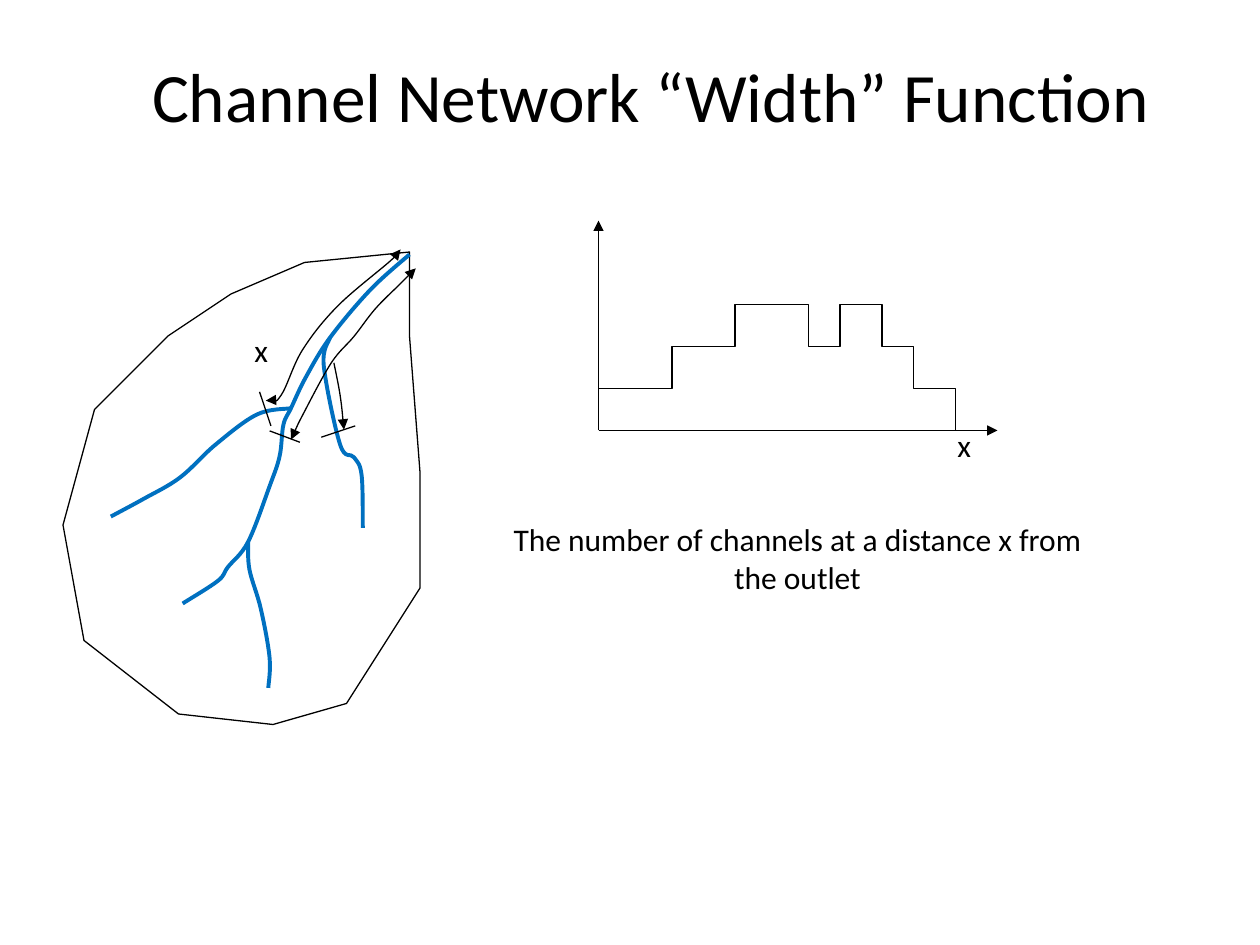
"""Build a slide on the width function of a channel network."""
from lxml.etree import SubElement
from pptx import Presentation
from pptx.dml.color import RGBColor
from pptx.enum.shapes import MSO_CONNECTOR
from pptx.enum.text import MSO_ANCHOR, MSO_AUTO_SIZE, PP_ALIGN
from pptx.oxml.ns import qn
from pptx.util import Inches, Pt


def ink(shape, color, width, ends=()):
    shape.line.color.rgb = RGBColor.from_string(color)
    shape.line.width = Pt(width)
    for end in ends:
        SubElement(shape.line._get_or_add_ln(), qn("a:" + end), type="triangle")
    SubElement(shape._element.spPr, qn("a:effectLst"))


def trace(home, knots, color, width, ends=(), smooth=False, closed=False):
    path = knots
    if smooth:
        path = knots[:1]
        chain = [knots[0], *knots, knots[-1]]
        for prior, start, stop, after in zip(chain, chain[1:], chain[2:], chain[3:]):
            leave = [s + (t - p) / 6 for p, s, t in zip(prior, start, stop)]
            reach = [t - (a - s) / 6 for s, t, a in zip(start, stop, after)]
            path = [*path, leave, reach, stop]
    spots = [(Inches(x), Inches(y)) for x, y in path]
    pen = home.build_freeform(*spots[0], scale=1.0)
    pen.add_line_segments(spots[1:], close=closed)
    shape = pen.convert_to_shape()
    shape.fill.background()
    ink(shape, color, width, ends)
    if smooth:
        steps = list(shape._element.iter(qn("a:lnTo")))
        for curve, *others in zip(steps[::3], steps[1::3], steps[2::3]):
            curve.tag = qn("a:cubicBezTo")
            for step in others:
                curve.append(step[0])
                step.getparent().remove(step)


BLACK, BLUE = "000000", "0070C0"
THIN, THICK = 0.75, 2.25
TIP, BOTH = ("tailEnd",), ("headEnd", "tailEnd")
GRID = 1 / 12

deck = Presentation()
deck.slide_width, deck.slide_height = Inches(10), Inches(7.5)
slide = deck.slides.add_slide(deck.slide_layouts[6])
shapes = slide.shapes

rim = [(39, 24), (29, 25), (22, 28), (16, 32), (9, 39), (6, 50), (8, 61),
       (17, 68), (26, 69), (33, 67), (40, 56), (40, 45), (39, 32), (39, 27)]
basin = [(col * GRID, row * GRID) for col, row in rim]
trace(shapes, basin, BLACK, THIN, closed=True)

outlet = (3.25, 2.02)
east_fork, west_fork, south_fork = (2.62, 2.68), (2.31, 3.24), (1.97, 4.3)
rivers = {
    "main": [outlet, (2.94, 2.3), east_fork, (2.43, 2.99), west_fork,
             (2.25, 3.37), (2.22, 3.62), (2.14, 3.86), south_fork,
             (1.81, 4.5), (1.73, 4.61), (1.45, 4.79)],
    "west": [west_fork, (2.04, 3.29), (1.71, 3.53), (1.43, 3.79),
             (1.14, 3.96), (0.88, 4.1)],
    "east": [east_fork, (2.57, 2.9), (2.7, 3.53), (2.81, 3.63),
             (2.87, 3.77), (2.88, 4.19)],
    "south": [south_fork, (1.98, 4.52), (2.07, 4.83), (2.14, 5.22), (2.13, 5.46)],
}
network = shapes.add_group_shape().shapes
for river in rivers.values():
    trace(network, river, BLUE, THICK, smooth=True)

routes = {
    "west": ([(3.18, 1.98), (3.1, 2.07), (2.68, 2.43), (2.4, 2.78),
              (2.23, 3.14), (2.11, 3.18)], BOTH),
    "main": ([(3.3, 2.13), (3.18, 2.25), (2.98, 2.45), (2.81, 2.67),
              (2.63, 2.88), (2.41, 3.28), (2.31, 3.49)], BOTH),
    "east": ([(2.65, 2.88), (2.7, 3.14), (2.73, 3.41)], TIP),
}
for route, ends in routes.values():
    trace(shapes, route, BLACK, THIN, ends, smooth=True)

graph = shapes.add_group_shape().shapes
left, base, top, right = 57 * GRID, 41 * GRID, 21 * GRID, 95 * GRID
lines = {
    "west gauge": (shapes, (), (2.06, 3.11), (2.15, 3.38)),
    "main gauge": (shapes, (), (2.14, 3.42), (2.38, 3.51)),
    "east gauge": (shapes, (), (2.55, 3.47), (2.82, 3.38)),
    "count axis": (graph, TIP, (left, base), (left, top)),
    "reach axis": (graph, TIP, (left, base), (right, base)),
}
for home, ends, start, stop in lines.values():
    span = map(Inches, start + stop)
    ink(home.add_connector(MSO_CONNECTOR.STRAIGHT, *span), BLACK, THIN, ends)

counts = [1, 2, 3, 2, 3, 2, 1]
cells = [7, 6, 7, 3, 4, 3, 4]
rise = 4 * GRID
stairs, edge = [], left
for count, cell in zip(counts, cells):
    level = base - count * rise
    stairs += [(edge, level), (edge + cell * GRID, level)]
    edge += cell * GRID
trace(graph, [*stairs, (edge, base)], BLACK, THIN)

head = {"vertical_anchor": MSO_ANCHOR.MIDDLE, "word_wrap": True}
note = {"word_wrap": True, "auto_size": MSO_AUTO_SIZE.SHAPE_TO_FIT_TEXT}
mark = {**note, "word_wrap": False}
mid = {"alignment": PP_ALIGN.CENTER}
for words, box, size, frame, para in (
    ("Channel Network “Width” Function", (0.58, 0.42, 9.17, 0.75), 39.6,
     head, {**mid, "line_spacing": 0.9}),
    ("The number of channels at a distance x from the outlet",
     (3.83, 4.08, 5, 0.9), 18, note, mid),
    ("x", (1.92, 2.58, 0.37, 0.5), 18, mark, {}),
    ("x", (7.5, 3.33, 0.37, 0.5), 18, mark, {}),
):
    text = shapes.add_textbox(*map(Inches, box)).text_frame
    line = text.paragraphs[0]
    run = line.add_run()
    run.text = words
    run.font.color.rgb = RGBColor.from_string(BLACK)
    font = {"name": "Calibri", "size": Pt(size)}
    for part, form in ((text, frame), (line, para), (run.font, font)):
        for key, value in form.items():
            setattr(part, key, value)

deck.save("out.pptx")
